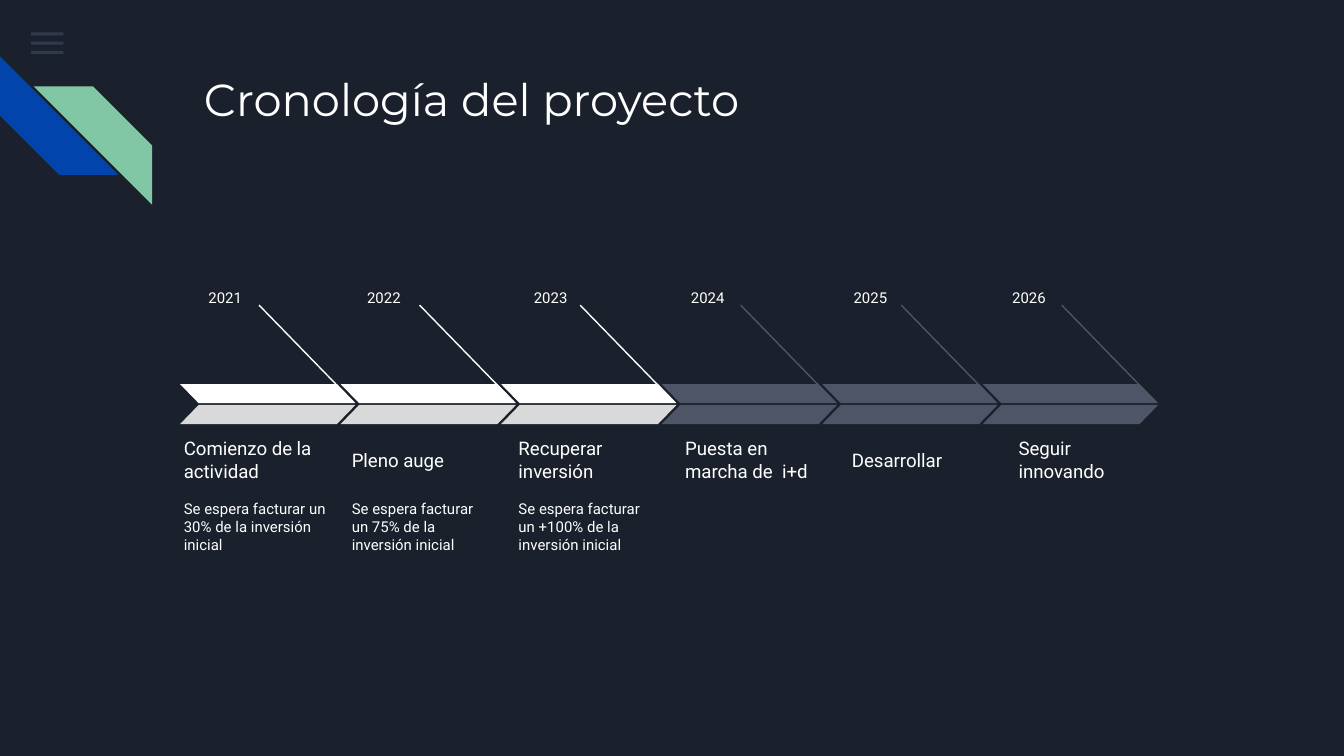
from lxml.etree import SubElement
from pptx import Presentation
from pptx.dml.color import RGBColor
from pptx.enum.shapes import MSO_CONNECTOR, MSO_SHAPE
from pptx.enum.text import MSO_ANCHOR, PP_ALIGN
from pptx.oxml.ns import qn
from pptx.util import Pt

COLORS = {
    "background": "1B212C",
    "menu": "55688B",
    "blue": "0145AC",
    "green": "82C7A5",
    "text": "FFFFFF",
    "done": "FFFFFF",
    "done_shade": "D9D9D9",
    "pending": "4E5567",
}

# year, year left, label, label left, label width, detail
STAGES = [
    ("2021", 94.3, "Comienzo de la actividad", 91.4, 92.2,
     "Se espera facturar un 30% de la inversión inicial"),
    ("2022", 179.3, "Pleno auge", 181.4, 89.3,
     "Se espera facturar un 75% de la inversión inicial"),
    ("2023", 268.6, "Recuperar inversión", 270.7, 89.3,
     "Se espera facturar un +100% de la inversión inicial"),
    ("2024", 352.8, "Puesta en marcha de  i+d", 360, 89.3, None),
    ("2025", 439.9, "Desarrollar", 449.3, 89.3, None),
    ("2026", 524.9, "Seguir innovando", 538.6, 89.3, None),
]
STAGE_LEFT = 96.5
STAGE_PITCH = 86


def color(name):
    return RGBColor.from_string(COLORS[name])


class SlideBuilder:
    def __init__(self, page, font="Roboto", inset=7.2):
        self.page = page
        self.font = font
        self.inset = Pt(inset)
        fill = page.background.fill
        fill.solid()
        fill.fore_color.rgb = color("background")

    def shape(self, kind, left, top, width, height, fill, *,
              adjust=None, flip=False, rotation=0, alpha=None):
        """Add a borderless shape; alpha is the opacity in percent."""
        shape = self.page.shapes.add_shape(
            kind, Pt(left), Pt(top), Pt(width), Pt(height))
        shape.shadow.inherit = False
        shape.fill.solid()
        shape.fill.fore_color.rgb = color(fill)
        shape.line.fill.background()
        shape.rotation = rotation
        if adjust is not None:
            shape.adjustments[0] = adjust
        properties = shape.element.spPr
        if flip:
            properties.find(qn("a:xfrm")).set("flipH", "1")
        if alpha is not None:
            tint = properties.find(qn("a:solidFill")).find(qn("a:srgbClr"))
            SubElement(tint, qn("a:alpha")).set("val", str(alpha * 1000))

    def line(self, start, end, stroke, width=0.75):
        line = self.page.shapes.add_connector(
            MSO_CONNECTOR.STRAIGHT, *(Pt(value) for value in (*start, *end)))
        line.line.color.rgb = color(stroke)
        line.line.width = Pt(width)
        SubElement(line.element.spPr, qn("a:effectLst"))

    def text(self, text, left, top, width, height, *, size, font=None,
             align=PP_ALIGN.LEFT, anchor=MSO_ANCHOR.TOP, space_after=0):
        box = self.page.shapes.add_textbox(
            Pt(left), Pt(top), Pt(width), Pt(height))
        frame = box.text_frame
        frame.word_wrap = True
        frame.vertical_anchor = anchor
        frame.margin_left = frame.margin_right = self.inset
        frame.margin_top = frame.margin_bottom = self.inset
        para = frame.paragraphs[0]
        para.alignment = align
        para.space_after = Pt(space_after)
        span = para.add_run()
        span.text = text
        span.font.name = font or self.font
        span.font.size = Pt(size)
        span.font.color.rgb = color("text")


def add_decoration(slide):
    for row in range(3):
        slide.shape(MSO_SHAPE.RECTANGLE, 16.6, 17.4 + 4.95 * row, 17.4, 1.6,
                    "menu", alpha=36)
    slide.shape(MSO_SHAPE.DIAGONAL_STRIPE, 0, 30.2, 63.5, 63.5, "blue",
                adjust=0.5, rotation=270)
    slide.shape(MSO_SHAPE.DIAGONAL_STRIPE, 18.1, 46.3, 63.5, 63.5, "green",
                adjust=0.5, flip=True)


def add_stage(slide, index, stage):
    year, year_left, label, label_left, label_width, detail = stage
    left = STAGE_LEFT + STAGE_PITCH * index
    upper, lower = ("done", "done_shade") if detail else ("pending", "pending")
    slide.line((left + 42.3, 163.5), (left + 92.7, 215.3), upper)
    for top, fill, flip in ((205.8, upper, True), (217, lower, False)):
        slide.shape(MSO_SHAPE.PARALLELOGRAM, left, top, 93.9, 10.2, fill,
                    adjust=0.97, flip=flip)
    slide.text(year, year_left, 149.8, 42.5, 16.6, size=8,
               align=PP_ALIGN.RIGHT)
    slide.text(label, label_left, 230.4, label_width, 31.7, size=10,
               anchor=MSO_ANCHOR.MIDDLE)
    if detail:
        slide.text(detail, label_left, 260.6, label_width, 52.6, size=8,
                   space_after=16)


def main():
    deck = Presentation()
    deck.slide_width, deck.slide_height = Pt(720), Pt(405)
    slide = SlideBuilder(deck.slides.add_slide(deck.slide_layouts[6]))
    add_decoration(slide)
    slide.text("Cronología del proyecto", 102.2, 31, 554.4, 72, size=24,
               font="Montserrat")
    for index, stage in enumerate(STAGES):
        add_stage(slide, index, stage)
    deck.save("out.pptx")


if __name__ == "__main__":
    main()
